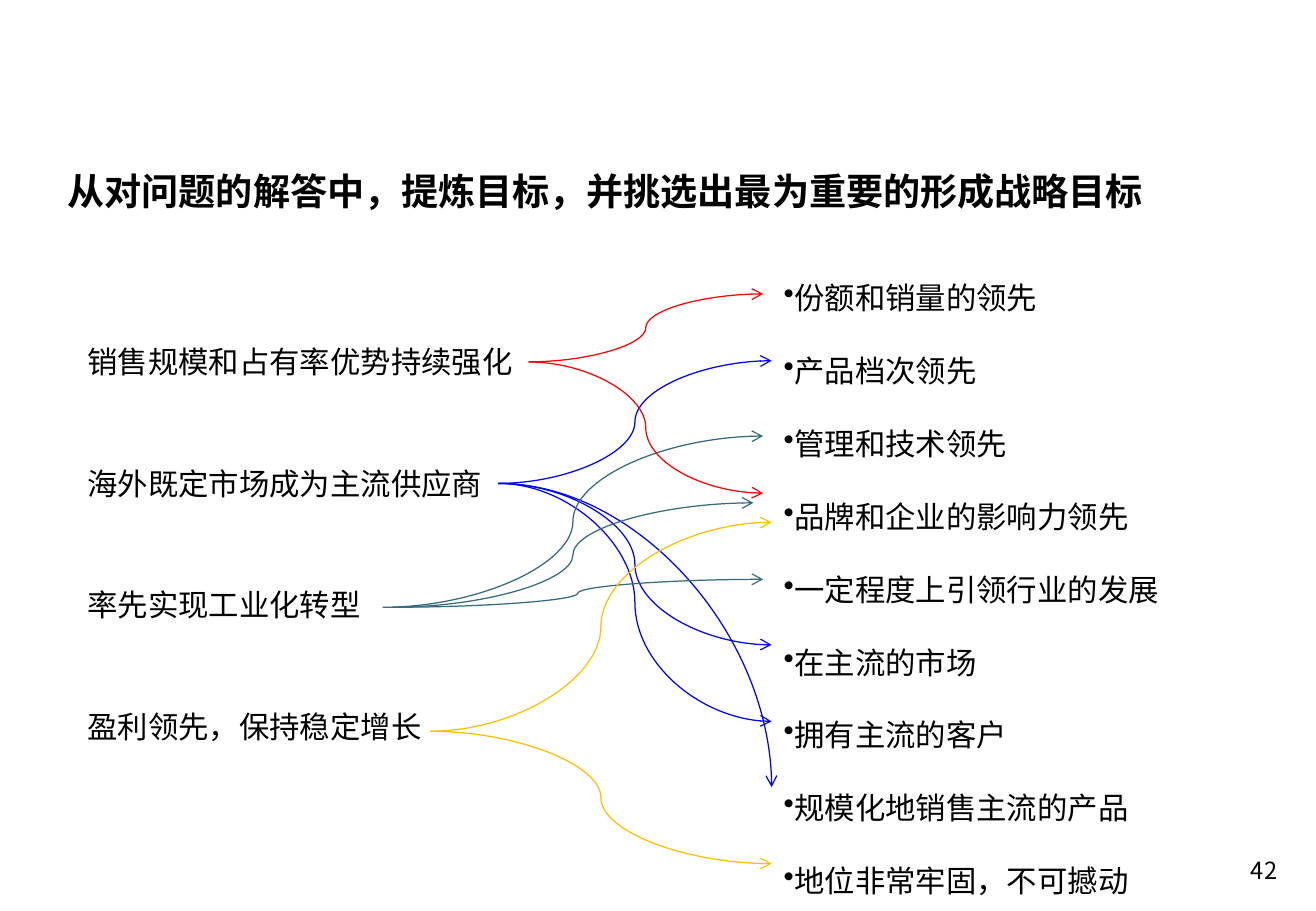
"""Build a slide that links four answers to the goals drawn from them."""
from lxml.etree import SubElement
from pptx import Presentation
from pptx.dml.color import RGBColor
from pptx.enum.shapes import MSO_CONNECTOR
from pptx.enum.text import MSO_AUTO_SIZE, PP_ALIGN
from pptx.oxml.ns import qn
from pptx.util import Inches, Pt

FONT = "Noto Sans CJK SC"
BLACK = RGBColor(0x00, 0x00, 0x00)
RED = RGBColor(0xFF, 0x00, 0x00)
BLUE = RGBColor(0x00, 0x00, 0xFF)
TEAL = RGBColor(0x36, 0x6B, 0x7E)
GOLD = RGBColor(0xFF, 0xC0, 0x00)

deck = Presentation()
deck.slide_width, deck.slide_height = Inches(10.83), Inches(7.5)
page = deck.slides.add_slide(deck.slide_layouts[6])


def add_text(text, left, top, width, height, size=18, bold=False, wrap=True,
             fit=False, align=PP_ALIGN.LEFT, spacing=None, hanging=0, bullet=None):
    """Add a text box with one paragraph for each line of text."""
    box = page.shapes.add_textbox(Inches(left), Inches(top), Inches(width), Inches(height))
    frame = box.text_frame
    frame.word_wrap = wrap
    frame.auto_size = MSO_AUTO_SIZE.SHAPE_TO_FIT_TEXT if fit else MSO_AUTO_SIZE.NONE
    frame.text = text
    for para in frame.paragraphs:
        para.alignment = align
        if spacing:
            para.line_spacing = spacing
        properties = para._p.get_or_add_pPr()
        if hanging:
            properties.set("marL", str(Inches(hanging)))
            properties.set("indent", str(-Inches(hanging)))
        if bullet:
            SubElement(properties, qn("a:buChar"), char=bullet)
        for span in para.runs:
            span.font.name = FONT
            span.font.size = Pt(size)
            span.font.bold = bold
            span.font.color.rgb = BLACK
            SubElement(span._r.get_or_add_rPr(), qn("a:ea"), typeface=FONT)


add_text("从对问题的解答中，提炼目标，并挑选出最为重要的形成战略目标",
         0.46, 1.15, 9.34, 5.31, size=22, bold=True, spacing=1.5, hanging=0.5)
add_text("42", 8.08, 7, 2.53, 0.35, size=14, align=PP_ALIGN.RIGHT)

answers = [
    ("销售规模和占有率优势持续强化", 3.74),
    ("海外既定市场成为主流供应商", 3.48),
    ("率先实现工业化转型", 2.47),
    ("盈利领先，保持稳定增长", 3.05),
]
for row, (answer, width) in enumerate(answers):
    add_text(answer, 0.62, 2.78 + row, width, 0.4, wrap=False, fit=True)

goals = [
    "份额和销量的领先",
    "产品档次领先",
    "管理和技术领先",
    "品牌和企业的影响力领先",
    "一定程度上引领行业的发展",
    "在主流的市场",
    "拥有主流的客户",
    "规模化地销售主流的产品",
    "地位非常牢固，不可撼动",
]
add_text("\n".join(goals), 6.35, 1.95, 3.52, 5.55, fit=True, spacing=2.0, bullet="•")

S_CURVE, QUARTER_CURVE = "curvedConnector3", "curvedConnector2"
links = [
    (RED, 4.35, 2.98, 6.28, 2.42, S_CURVE),
    (BLUE, 4.1, 3.98, 6.35, 5.31, S_CURVE),
    (BLUE, 4.1, 3.98, 6.35, 5.94, S_CURVE),
    (BLUE, 4.1, 3.98, 6.35, 6.48, QUARTER_CURVE),
    (TEAL, 3.15, 5, 6.28, 3.59, S_CURVE),
    (BLUE, 4.1, 3.98, 6.35, 2.97, S_CURVE),
    (TEAL, 3.23, 5, 6.2, 4.14, S_CURVE),
    (TEAL, 3.23, 5, 6.28, 4.77, S_CURVE),
    (GOLD, 3.54, 6.02, 6.35, 7.11, S_CURVE),
    (GOLD, 3.54, 6.02, 6.35, 4.3, S_CURVE),
    (RED, 4.35, 2.98, 6.28, 4.06, S_CURVE),
]
for color, start_x, start_y, end_x, end_y, curve in links:
    link = page.shapes.add_connector(MSO_CONNECTOR.CURVE, Inches(start_x), Inches(start_y),
                                     Inches(end_x), Inches(end_y))
    link.line.color.rgb = color
    link.line.width = Pt(0.75)
    properties = link._element.spPr
    properties.find(qn("a:prstGeom")).set("prst", curve)
    SubElement(properties.find(qn("a:ln")), qn("a:tailEnd"), type="arrow")
    SubElement(properties, qn("a:effectLst"))

deck.save("out.pptx")
